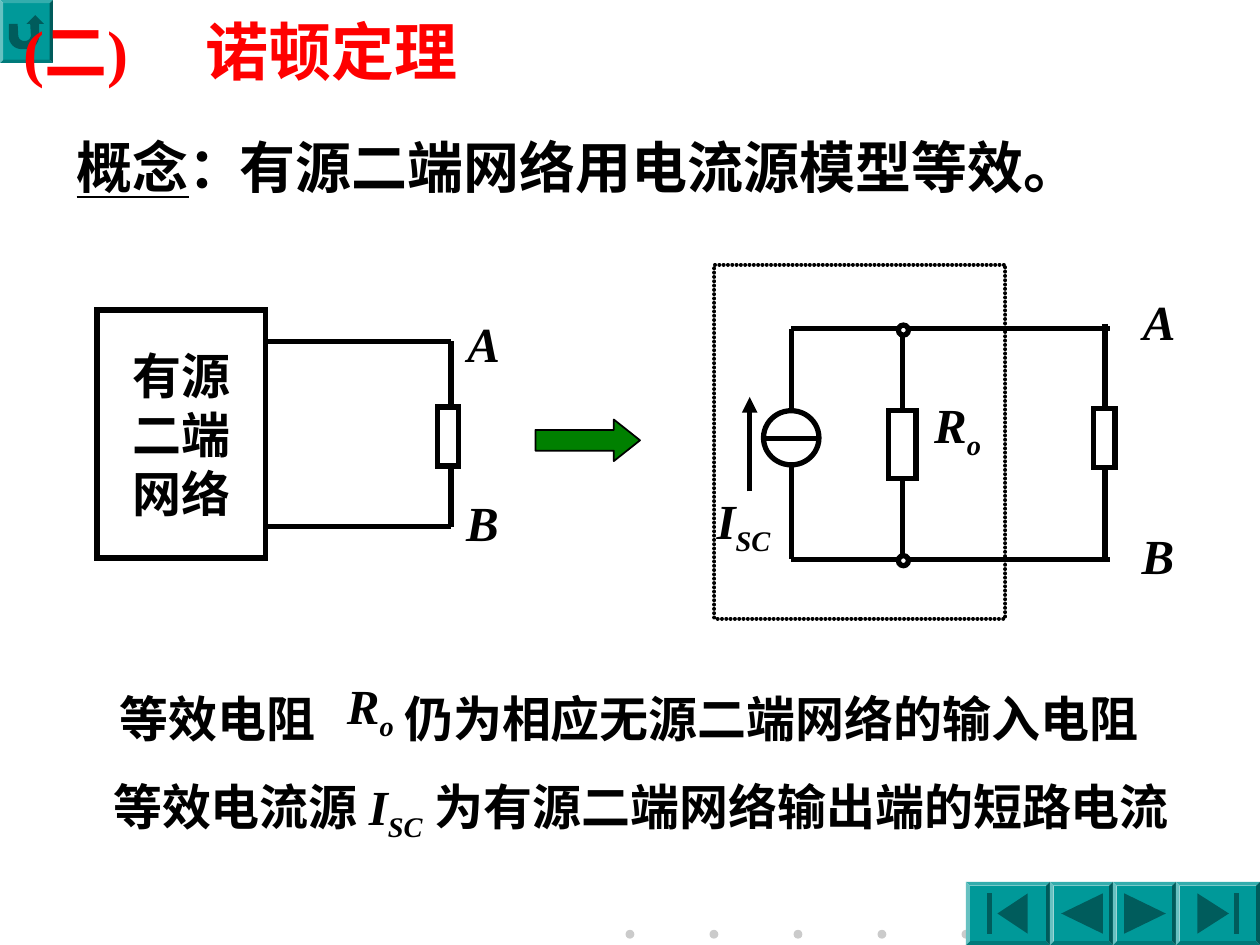
from dataclasses import dataclass
from math import cos, radians, sin
from typing import NamedTuple, Optional

from lxml import etree
from pptx import Presentation, util as u
from pptx.dml.color import RGBColor
from pptx.enum import shapes, text
from pptx.oxml import ns

COLUMNS, ROWS = 100, 75  # square cells, ten to the inch
CELL = u.Inches(0.1)
SHAPE = shapes.MSO_SHAPE
ALIGN = text.PP_ALIGN


@dataclass(frozen=True)
class Theme:
    font: str = "Times New Roman"
    black: str = "000000"
    white: str = "FFFFFF"
    red: str = "FF0000"
    green: str = "008000"
    teal: str = "009999"
    dark_teal: str = "005C5C"
    dot: str = "CBCBCB"
    title: int = 36
    heading: int = 32
    body: int = 28
    wire: float = 3


THEME = Theme()


class Box(NamedTuple):
    left: float
    top: float
    width: float
    height: float


class Part(NamedTuple):
    content: str
    italic: bool = False
    underline: bool = False
    subscript: bool = False


class Button(NamedTuple):
    box: Box
    icons: list  # outlines, measured from the button's corner


def cells(count: float) -> int:
    return round(count * CELL)


def color(value: str) -> RGBColor:
    return RGBColor.from_string(value)


def add_shape(kind, box: Box, fill: str, line: Optional[str] = None, width: float = THEME.wire):
    shape = slide.shapes.add_shape(kind, *map(cells, box))
    shape.shadow.inherit = False
    shape.fill.solid()
    shape.fill.fore_color.rgb = color(fill)
    if line:
        shape.line.color.rgb = color(line)
        shape.line.width = u.Pt(width)
    else:
        shape.line.fill.background()
    return shape


def add_outlined(kind, box: Box):
    shape = add_shape(kind, box, THEME.white, THEME.black)
    etree.SubElement(shape.line._get_or_add_ln(), ns.qn("a:miter"), lim="800000")
    return shape


def add_wire(x1: float, y1: float, x2: float, y2: float, arrow: bool = False) -> None:
    wire = slide.shapes.add_connector(shapes.MSO_CONNECTOR.STRAIGHT, *map(cells, (x1, y1, x2, y2)))
    wire.line.color.rgb = color(THEME.black)
    wire.line.width = u.Pt(THEME.wire)
    if arrow:
        etree.SubElement(wire.line._get_or_add_ln(), ns.qn("a:tailEnd"), type="triangle")
    etree.SubElement(wire._element.spPr, ns.qn("a:effectLst"))


def set_font(font, size: int, ink: str) -> None:
    font.name = THEME.font
    font.size = u.Pt(size)
    font.bold = True
    font.color.rgb = color(ink)


def write(frame, lines: list, size: int = THEME.body, ink: str = THEME.black,
          align=ALIGN.CENTER, anchor=text.MSO_ANCHOR.MIDDLE,
          tab: Optional[float] = None, spacing: Optional[float] = None) -> None:
    """Each line is a list of parts; left-aligned text wraps, centred text does not."""
    frame.word_wrap = align == ALIGN.LEFT
    frame.vertical_anchor = anchor
    for index, parts in enumerate(lines):
        paragraph = frame.add_paragraph() if index else frame.paragraphs[0]
        paragraph.alignment = align
        if spacing:
            paragraph.line_spacing = spacing
        if tab:
            stops = etree.SubElement(paragraph._p.get_or_add_pPr(), ns.qn("a:tabLst"))
            etree.SubElement(stops, ns.qn("a:tab"), pos=str(cells(tab)), algn="l")
        set_font(paragraph.font, size, ink)
        for part in parts:
            run = paragraph.add_run()
            run.text = part.content
            set_font(run.font, size, ink)  # some renderers ignore paragraph fonts
            run.font.italic = part.italic
            run.font.underline = part.underline
            if part.subscript:
                run.font._element.set("baseline", "-25000")


def add_text(box: Box, *parts: Part, **style) -> None:
    write(slide.shapes.add_textbox(*map(cells, box)).text_frame, [list(parts)], **style)


def symbol(letter: str, index: str = "") -> list:
    parts = [Part(letter, italic=True)]
    return parts + [Part(index, italic=True, subscript=True)] if index else parts


def arc(x: float, y: float, radius: float, start: int, end: int) -> list:
    return [(x + radius * cos(radians(start + (end - start) * step / 8)),
             y + radius * sin(radians(start + (end - start) * step / 8))) for step in range(9)]


def add_button(button: Button) -> None:
    bevel = add_shape(SHAPE.BEVEL, button.box, THEME.teal)
    bevel.adjustments[0] = 0.06
    for outline in button.icons:
        points = [(cells(button.box.left + x), cells(button.box.top + y)) for x, y in outline]
        builder = slide.shapes.build_freeform(*points[0])
        builder.add_line_segments(points[1:])
        icon = builder.convert_to_shape()
        icon.shadow.inherit = False
        icon.fill.solid()
        icon.fill.fore_color.rgb = color(THEME.dark_teal)
        icon.line.fill.background()


def triangle(base: float, tip: float) -> list:
    return [(base, 0.9), (tip, 2.5), (base, 4.1)]


def bar(left: float) -> list:
    return [(left, 0.9), (left + 0.4, 0.9), (left + 0.4, 4.1), (left, 4.1)]


presentation = Presentation()
presentation.slide_width, presentation.slide_height = cells(COLUMNS), cells(ROWS)
slide = presentation.slides.add_slide(presentation.slide_layouts[6])

# Row of dots at the foot
for number in range(5):
    add_shape(SHAPE.OVAL, Box(49.65 + number * 20 / 3, 73.8, 0.7, 0.7), THEME.dot)

# Navigation buttons
u_turn = ([(0.7, 1.9), (1.4, 1.9)] + arc(1.9, 2.8, 0.45, 180, 90) + arc(2, 2.8, 0.45, 90, 0)
          + [(2.4, 1.9), (2.1, 1.9), (2.8, 1.2), (3.5, 1.9), (3.1, 1.9)]
          + arc(2.1, 2.9, 1, 0, 90) + arc(1.7, 2.9, 1, 90, 180))
for button in (
    Button(Box(0, 0, 4.2, 5), [u_turn]),
    Button(Box(76.67, 70, 6.66, 5), [triangle(4.9, 2.5), bar(1.7)]),
    Button(Box(83.33, 70, 5, 5), [triangle(4.2, 0.9)]),
    Button(Box(88.33, 70, 5, 5), [triangle(0.9, 4.2)]),
    Button(Box(93.33, 70, 6.67, 5), [triangle(1.7, 4.2), bar(4.6)]),
):
    add_button(button)

# Title and concept
add_text(Box(0.9, 0.5, 40, 7), Part("(二)\t诺顿定理"), size=THEME.title, ink=THEME.red,
         align=ALIGN.LEFT, anchor=text.MSO_ANCHOR.TOP, tab=14.4)
add_text(Box(5.1, 10, 16, 6.4), Part("概念", underline=True), Part("："),
         size=THEME.heading, align=ALIGN.LEFT)
add_text(Box(18, 10, 72, 6.4), Part("有源二端网络用电流源模型等效。"),
         size=THEME.heading, align=ALIGN.LEFT)

# Active two-terminal network with its load
network = add_outlined(SHAPE.RECTANGLE, Box(7.7, 24.6, 13.4, 19.7))
write(network.text_frame, [[Part(line)] for line in ("有源", "二端", "网络")])
for y in (27.1, 41.8):
    add_wire(21.1, y, 35.8, y)
add_wire(35.8, 27.1, 35.8, 41.8)
add_outlined(SHAPE.RECTANGLE, Box(34.7, 32.3, 1.7, 4.7))

# Equivalence arrow
arrow = add_shape(SHAPE.RIGHT_ARROW, Box(42.5, 33.3, 8.3, 3.3), THEME.green, THEME.black, 1)
arrow.adjustments[0], arrow.adjustments[1] = 0.5, 0.63

# Current source model in a frame of close round dots
frame = add_shape(SHAPE.RECTANGLE, Box(56.7, 21, 23.1, 28.1), THEME.white, THEME.black, 2.25)
outline = frame.line._get_or_add_ln()
outline.set("cap", "rnd")
dashes = etree.SubElement(outline, ns.qn("a:custDash"))
etree.SubElement(dashes, ns.qn("a:ds"), d="100000", sp="10000")
TOP, BOTTOM = 26.1, 44.4
add_outlined(SHAPE.OVAL, Box(60.6, 32.6, 4.4, 4.3))
add_wire(60.6, 34.8, 65, 34.8)
add_wire(62.8, 32.6, 62.8, TOP)
add_wire(62.8, 36.9, 62.8, BOTTOM)
add_wire(71.6, TOP, 71.6, BOTTOM)
add_outlined(SHAPE.RECTANGLE, Box(70.5, 32.6, 2.2, 5.4))
for y in (TOP, BOTTOM):
    add_wire(62.8, y, 88.1, y)
    add_outlined(SHAPE.OVAL, Box(71.3, y - 0.3, 0.8, 0.8))
add_wire(59.5, 39, 59.5, 31.5, arrow=True)
add_wire(87.7, 25.7, 87.7, BOTTOM)
add_outlined(SHAPE.RECTANGLE, Box(86.8, 32.4, 1.7, 4.7))

# Circuit symbols
for box, parts in (
    (Box(36.1, 24.4, 4.6, 5.7), symbol("A")),
    (Box(36, 38.6, 4.6, 5.7), symbol("B")),
    (Box(89.7, 22.6, 4.6, 5.7), symbol("A")),
    (Box(89.6, 41.2, 4.6, 5.7), symbol("B")),
    (Box(54, 38.4, 10, 6.3), symbol("I", "SC")),
    (Box(72, 30.8, 8, 6.3), symbol("R", "o")),
    (Box(25.4, 53.1, 8, 6.3), symbol("R", "o")),
):
    add_text(box, *parts)

# Explanations
add_text(Box(8.5, 52.7, 88, 7.1), Part("等效电阻\t仍为相应无源二端网络的输入电阻"),
         align=ALIGN.LEFT, tab=22.6, spacing=1.3)
add_text(Box(8, 61.1, 91, 6.3), Part("等效电流源 "), *symbol("I", "SC"),
         Part(" 为有源二端网络输出端的短路电流"), align=ALIGN.LEFT)

presentation.save("out.pptx")
